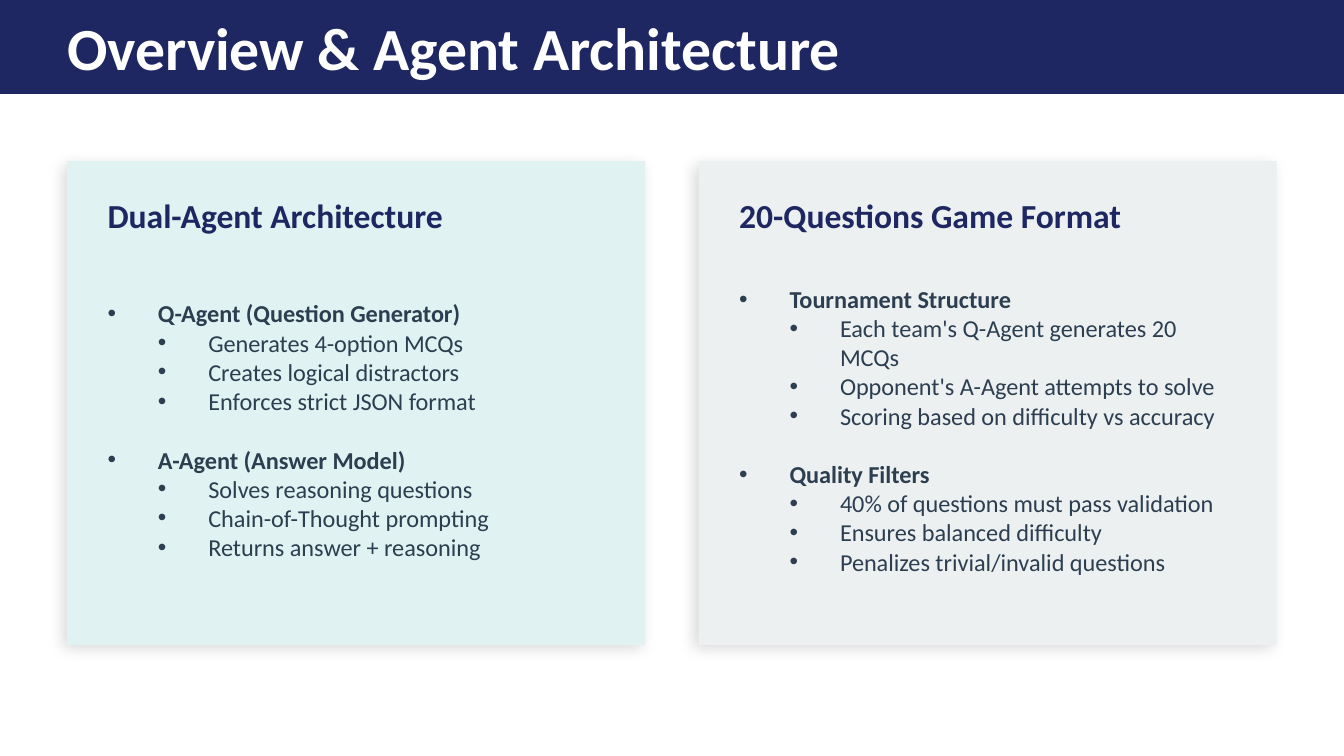
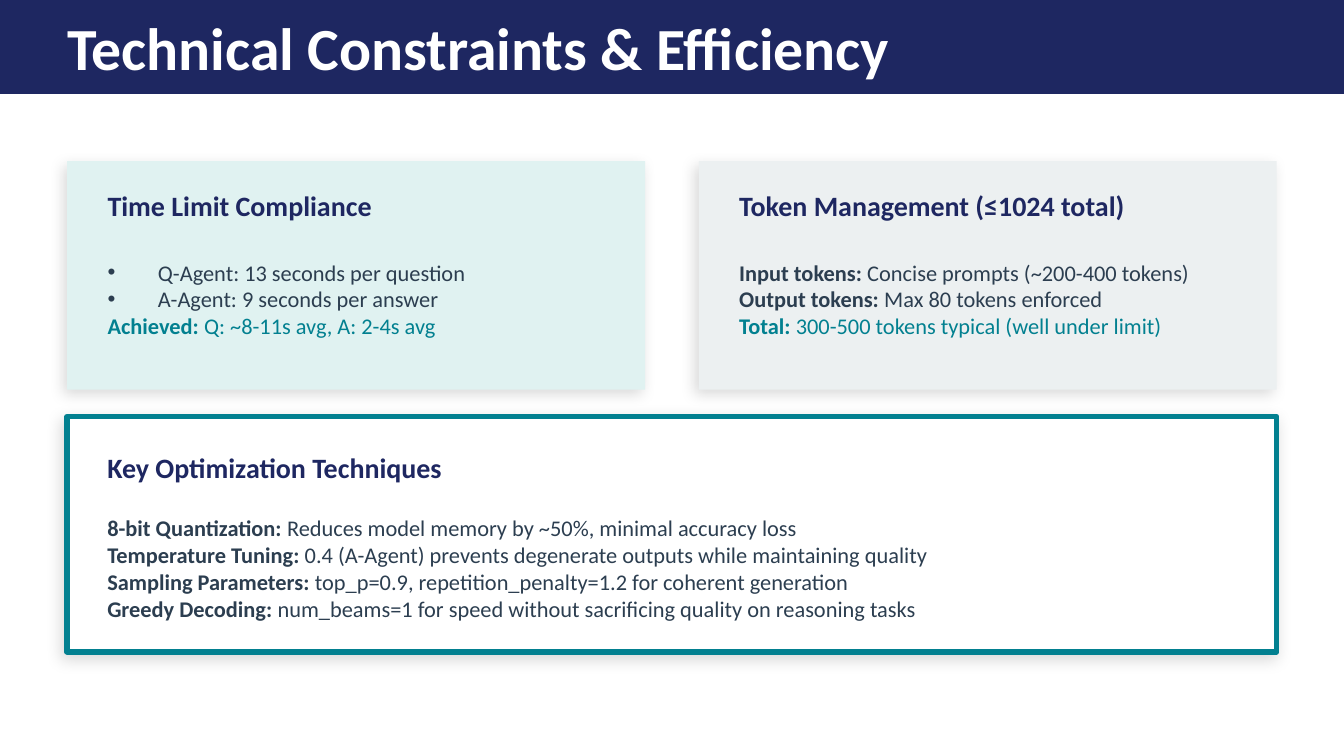
"""Build two slides on the dual-agent question game and its technical constraints."""
from dataclasses import dataclass

from lxml import etree
from pptx import Presentation
from pptx.dml.color import RGBColor
from pptx.enum.shapes import MSO_SHAPE
from pptx.enum.text import MSO_ANCHOR, MSO_AUTO_SIZE, PP_ALIGN
from pptx.oxml.ns import qn
from pptx.util import Inches, Pt

RECTANGLE = MSO_SHAPE.RECTANGLE
MIDDLE = MSO_ANCHOR.MIDDLE
NO_AUTOFIT = MSO_AUTO_SIZE.NONE
LEFT = PP_ALIGN.LEFT

FONT = "Calibri"
NAVY, TEAL, INK, WHITE = "1E2761", "028090", "2C3E50", "FFFFFF"
MINT, MIST = "E0F2F1", "ECF0F1"

SLIDE_WIDTH = 10
SLIDE_HEIGHT = SLIDE_WIDTH * 9 / 16
COMPARISON_LAYOUT = 4
MARGIN, COLUMN_WIDTH, FULL_WIDTH = 0.5, 4.3, 9
RIGHT_COLUMN = MARGIN + FULL_WIDTH - COLUMN_WIDTH
CARD_TOP = 1.2
CARD_PADDING = 0.2


@dataclass
class Line:
    text: str = ""
    label: str = ""
    level: int = 0
    color: str = INK
    gap: float = 0


def rgb(color):
    return RGBColor.from_string(color)


def place(shape, left, top, width, height):
    shape.left, shape.top = Inches(left), Inches(top)
    shape.width, shape.height = Inches(width), Inches(height)


def set_bullet(paragraph, level):
    props = paragraph._p.get_or_add_pPr()
    step = Inches(0.75) // 2
    props.set("marL", str(step * level))
    props.set("indent", str(-step if level else 0))
    if level:
        paragraph.level = level - 1
        etree.SubElement(props, qn("a:buChar")).set("char", "•")
    else:
        etree.SubElement(props, qn("a:buNone"))


def add_run(paragraph, text, size, color, bold):
    run = paragraph.add_run()
    run.text = text
    run.font.name = FONT
    run.font.size = Pt(size)
    run.font.bold = bold
    run.font.color.rgb = rgb(color)


def write(shape, lines, box, size, inset=0.1):
    place(shape, *box)
    frame = shape.text_frame
    frame.word_wrap = True
    frame.auto_size = NO_AUTOFIT
    frame.vertical_anchor = MIDDLE
    frame.margin_left = frame.margin_right = Inches(inset)
    frame.margin_top = frame.margin_bottom = Inches(inset / 2)
    for index, line in enumerate(lines):
        paragraph = frame.add_paragraph() if index else frame.paragraphs[0]
        paragraph.alignment = LEFT
        paragraph.line_spacing = 1.0
        paragraph.space_before = Pt(line.gap)
        paragraph.space_after = Pt(0)
        set_bullet(paragraph, line.level)
        if line.label:
            add_run(paragraph, line.label, size, line.color, True)
        if line.text:
            add_run(paragraph, line.text, size, line.color, False)


def add_shadow(shape):
    effects = shape._element.spPr.find(qn("a:effectLst"))
    shadow = etree.SubElement(effects, qn("a:outerShdw"), blurRad=str(Pt(8)),
                              dist=str(Pt(3)), dir=str(135 * 60000),
                              algn="bl", rotWithShape="0")
    black = etree.SubElement(shadow, qn("a:srgbClr"), val="000000")
    etree.SubElement(black, qn("a:alpha"), val="15000")


def add_panel(slide, box, fill, border=None, raised=True):
    panel = slide.shapes.add_shape(RECTANGLE, *map(Inches, box))
    panel.fill.solid()
    panel.fill.fore_color.rgb = rgb(fill)
    if border:
        panel.line.color.rgb = rgb(border)
        panel.line.width = Pt(3)
    else:
        panel.line.fill.background()
    panel.shadow.inherit = False
    if raised:
        add_shadow(panel)
    slide.shapes._spTree.insert(2, panel._element)


def add_slide(deck, title):
    slide = deck.slides.add_slide(deck.slide_layouts[COMPARISON_LAYOUT])
    add_panel(slide, (0, 0, SLIDE_WIDTH, 0.7), NAVY, raised=False)
    write(slide.shapes.title, [Line(label=title, color=WHITE)],
          (MARGIN, 0.15, FULL_WIDTH, 0.4), size=32, inset=0)
    return slide


def add_card(slide, holders, box, fill, heading, lines, heading_row, body_row,
             sizes, border=None):
    left, top, width, _ = box
    add_panel(slide, box, fill, border)
    contents = ([Line(label=heading, color=NAVY)], lines)
    for holder, content, row, size in zip(holders, contents, (heading_row, body_row), sizes):
        offset, height = row
        text_box = (left + CARD_PADDING, top + offset, width - 2 * CARD_PADDING, height)
        write(holder, content, text_box, size)


def add_column_cards(slide, cards, height, **rows):
    columns = ((MARGIN, MINT, (1, 2)), (RIGHT_COLUMN, MIST, (3, 4)))
    for (left, fill, indexes), (heading, lines) in zip(columns, cards):
        holders = [slide.placeholders[index] for index in indexes]
        add_card(slide, holders, (left, CARD_TOP, COLUMN_WIDTH, height), fill,
                 heading, lines, **rows)


def outline(*groups):
    lines = []
    for topic, points in groups:
        lines.append(Line(label=topic, level=1, gap=15.8 if lines else 0))
        lines += [Line(point, level=2) for point in points]
    return lines


def build_overview(deck):
    slide = add_slide(deck, "Overview & Agent Architecture")
    agents = outline(
        ("Q-Agent (Question Generator)",
         ("Generates 4-option MCQs", "Creates logical distractors",
          "Enforces strict JSON format")),
        ("A-Agent (Answer Model)",
         ("Solves reasoning questions", "Chain-of-Thought prompting",
          "Returns answer + reasoning")))
    game = outline(
        ("Tournament Structure",
         ("Each team's Q-Agent generates 20 MCQs",
          "Opponent's A-Agent attempts to solve",
          "Scoring based on difficulty vs accuracy")),
        ("Quality Filters",
         ("40% of questions must pass validation", "Ensures balanced difficulty",
          "Penalizes trivial/invalid questions")))
    cards = (("Dual-Agent Architecture", agents), ("20-Questions Game Format", game))
    add_column_cards(slide, cards, 3.6, heading_row=(0.2, 0.4),
                     body_row=(0.7, 2.6), sizes=(18, 13))


def build_constraints(deck):
    slide = add_slide(deck, "Technical Constraints & Efficiency")
    time_limits = [
        Line("Q-Agent: 13 seconds per question", level=1),
        Line("A-Agent: 9 seconds per answer", level=1),
        Line("Q: ~8-11s avg, A: 2-4s avg", "Achieved: ", color=TEAL),
    ]
    tokens = [
        Line("Concise prompts (~200-400 tokens)", "Input tokens: "),
        Line("Max 80 tokens enforced", "Output tokens: "),
        Line("300-500 tokens typical (well under limit)", "Total: ", color=TEAL),
    ]
    techniques = [
        Line("Reduces model memory by ~50%, minimal accuracy loss", "8-bit Quantization: "),
        Line("0.4 (A-Agent) prevents degenerate outputs while maintaining quality",
             "Temperature Tuning: "),
        Line("top_p=0.9, repetition_penalty=1.2 for coherent generation",
             "Sampling Parameters: "),
        Line("num_beams=1 for speed without sacrificing quality on reasoning tasks",
             "Greedy Decoding: "),
    ]
    sizes = (15, 12)
    cards = (("Time Limit Compliance", time_limits),
             ("Token Management (≤1024 total)", tokens))
    add_column_cards(slide, cards, 1.7, heading_row=(0.15, 0.35),
                     body_row=(0.55, 0.95), sizes=sizes)
    holders = [slide.shapes.add_textbox(0, 0, 0, 0) for _ in sizes]
    add_card(slide, holders, (MARGIN, 3.1, FULL_WIDTH, 1.75), WHITE,
             "Key Optimization Techniques", techniques, heading_row=(0.2, 0.35),
             body_row=(0.65, 0.95), sizes=sizes, border=TEAL)


def main():
    deck = Presentation()
    deck.slide_width, deck.slide_height = Inches(SLIDE_WIDTH), Inches(SLIDE_HEIGHT)
    build_overview(deck)
    build_constraints(deck)
    deck.save("out.pptx")


if __name__ == "__main__":
    main()
